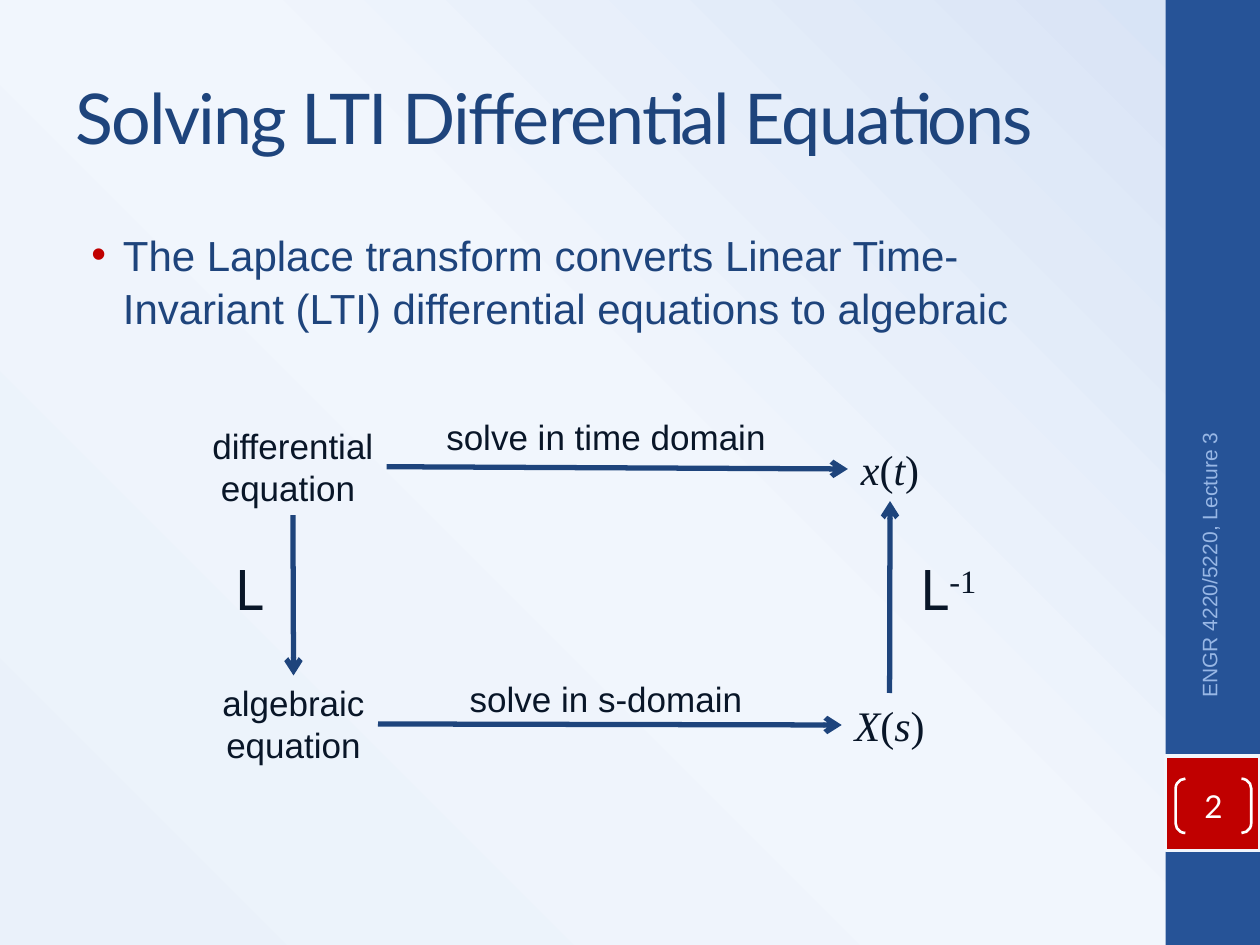
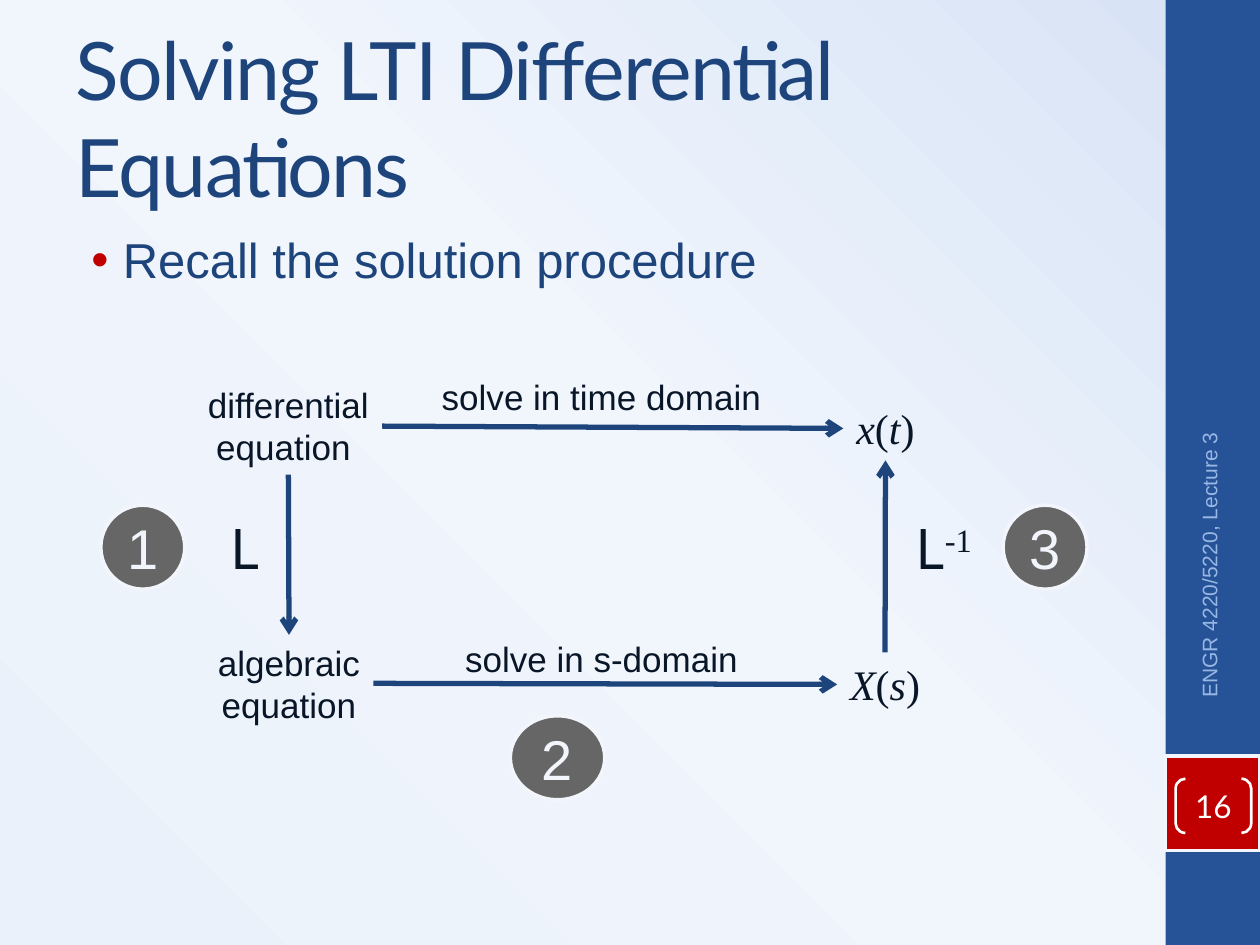
import lxml.etree
import pptx
import pptx.dml.color
import pptx.enum.shapes
import pptx.enum.text
import pptx.oxml.ns
import pptx.util

Pt = pptx.util.Pt
RGB = pptx.dml.color.RGBColor
KIND = pptx.enum.shapes.MSO_SHAPE
ALIGN = pptx.enum.text.PP_ALIGN
ANCHOR = pptx.enum.text.MSO_ANCHOR
FIT = pptx.enum.text.MSO_AUTO_SIZE
qn = pptx.oxml.ns.qn

# Colours
NAVY = RGB(0x1E, 0x44, 0x7C)
INK = RGB(0x09, 0x16, 0x28)
BAND = RGB(0x26, 0x53, 0x97)
RED = RGB(0xC0, 0x00, 0x00)
PALE = RGB(0xF2, 0xF6, 0xFC)
SKY = RGB(0x98, 0xB7, 0xE5)
GREY = RGB(0x66, 0x66, 0x66)
WHITE = RGB(0xFF, 0xFF, 0xFF)
GLOW = ((0, "EAF1FA"), (52, "F1F6FD"), (100, "D6E2F5"))

# Fonts
SANS, HEAD, MATH, SIGN = "Arial", "Lato", "Times New Roman", "Noto Sans"

TOP, LEFT, BOTTOM, RIGHT = range(4)


def node(parent, tag, **attrs):
    return lxml.etree.SubElement(parent, qn(tag), attrs)


def put(para, text, font=SANS, size=20, color=INK, italic=False, base=0, gap=0):
    """Add one formatted run; base is a percent, gap is in points."""
    run = para.add_run()
    run.text = text
    run.font.name = font
    run.font.size = Pt(size)
    run.font.color.rgb = color
    run.font.italic = italic
    props = run.font._element
    if base:
        props.set("baseline", str(base * 1000))
    if gap:
        props.set("spc", str(gap * 100))


class Deck:
    def __init__(self):
        self.prs = pptx.Presentation()
        self.prs.slide_width, self.prs.slide_height = Pt(720), Pt(540)
        self.slide = None
        self.glow()

    def glow(self):
        """Radial background shared by all slides, lit from the lower left."""
        master = self.prs.slide_master
        master.background.fill.gradient()
        grad = master.element.find(".//" + qn("a:gradFill"))
        grad.clear()
        stops = node(grad, "a:gsLst")
        for pos, color in GLOW:
            stop = node(stops, "a:gs", pos=str(pos * 1000))
            node(stop, "a:srgbClr", val=color)
        ring = node(grad, "a:path", path="circle")
        node(ring, "a:fillToRect", t="100000", r="100000")

    def page(self, number):
        """Start a slide with the side band, footer and page number."""
        self.slide = self.prs.slides.add_slide(self.prs.slide_layouts[1])
        self.shape(KIND.RECTANGLE, (666, 0, 54, 540), fill=BAND)
        self.shape(KIND.RECTANGLE, (666, 432, 54, 54), fill=RED, line=PALE)
        foot = self.label((597.6, 319, 186.5, 28.8), [], wrap=True)
        foot.rotation = 270
        foot.text_frame.vertical_anchor = ANCHOR.MIDDLE
        para = foot.text_frame.paragraphs[0]
        para.alignment = ALIGN.RIGHT
        put(para, "ENGR 4220/5220, Lecture 3", size=12, color=SKY)
        mark = self.shape(KIND.DOUBLE_BRACKET, (671.8, 445, 43.2, 31),
                          line=WHITE, width=1.5, text=str(number),
                          font=HEAD, size=18, color=WHITE)
        mark.adjustments[0] = 0.18
        frame = mark.text_frame
        frame.margin_left = frame.margin_right = 0
        frame.margin_top = frame.margin_bottom = 0

    def place(self, item, box):
        item.left, item.top, item.width, item.height = map(Pt, box)

    def title(self, text, size, width):
        item = self.slide.shapes.title
        self.place(item, (36, 21.6, width, 90))
        frame = item.text_frame
        frame.auto_size = FIT.NONE
        frame.vertical_anchor = ANCHOR.MIDDLE
        para = frame.paragraphs[0]
        para.alignment = ALIGN.LEFT
        put(para, text, font=HEAD, size=size, color=NAVY, gap=-1)

    def body(self, text, size, width, height):
        item = self.slide.placeholders[1]
        self.place(item, (36, 126, width, height))
        item.text_frame.auto_size = FIT.NONE
        para = item.text_frame.paragraphs[0]
        para.line_spacing = 1.05
        put(para, text, size=size, color=NAVY)
        props = para._p.get_or_add_pPr()
        props.set("marL", str(Pt(27)))
        props.set("indent", str(Pt(-18)))
        node(node(props, "a:buClr"), "a:srgbClr", val=str(RED))
        node(props, "a:buChar", char="•")

    def shape(self, kind, box, fill=None, line=None, width=2, text="", **style):
        item = self.slide.shapes.add_shape(kind, *map(Pt, box))
        item.shadow.inherit = False
        if fill is None:
            item.fill.background()
        else:
            item.fill.solid()
            item.fill.fore_color.rgb = fill
        if line is None:
            item.line.fill.background()
        else:
            item.line.color.rgb = line
            item.line.width = Pt(width)
        if text:
            item.text_frame.vertical_anchor = ANCHOR.MIDDLE
            para = item.text_frame.paragraphs[0]
            para.alignment = ALIGN.CENTER
            put(para, text, **style)
        return item

    def label(self, box, rows, wrap=False):
        """Text box; each row is a list of (text, format) runs."""
        item = self.slide.shapes.add_textbox(*map(Pt, box))
        frame = item.text_frame
        frame.word_wrap = wrap
        frame.auto_size = FIT.NONE if wrap else FIT.SHAPE_TO_FIT_TEXT
        for i, row in enumerate(rows):
            para = frame.add_paragraph() if i else frame.paragraphs[0]
            para.alignment = ALIGN.CENTER
            for text, style in row:
                put(para, text, **style)
        return item

    def arrow(self, start, side, end, stop):
        kind = pptx.enum.shapes.MSO_CONNECTOR.STRAIGHT
        item = self.slide.shapes.add_connector(kind, 0, 0, 0, 0)
        item.begin_connect(start, side)
        item.end_connect(end, stop)
        item.line.color.rgb = NAVY
        item.line.width = Pt(3)
        props = item.element.spPr
        node(props.find(qn("a:ln")), "a:tailEnd", type="arrow")
        node(props, "a:effectLst")

    def badge(self, text, box):
        self.shape(KIND.OVAL, box, fill=GREY, line=PALE,
                   text=text, size=32, color=PALE)

    def cycle(self, dx=0, dy=0):
        """Solution diagram, shifted by dx and dy."""
        def at(x, y, w, h, *rows):
            return self.label((x + dx, y + dy, w, h), rows)

        def plain(text):
            return [(text, {})]

        def call(name, arg):
            up, tilt = ({"font": MATH, "size": 24, "italic": i} for i in (False, True))
            return [(name, tilt), ("(", up), (arg, tilt), (")", up)]

        # Corners
        diff = at(113.8, 239, 107.2, 55.4, plain("differential"), plain("equation "))
        alg = at(119.5, 386, 96.5, 55.4, plain("algebraic"), plain("equation"))
        freq = at(481, 396, 54.7, 36.6, call("X", "s"))
        time = at(484.5, 249.7, 48.2, 36.6, call("x", "t"))

        # Step names
        at(247, 234, 198.7, 31.6, plain("solve in time domain"))
        at(260.6, 383.8, 171.4, 31.6, plain("solve in s-domain"))
        sign = ("L", {"font": SIGN, "size": 32})
        at(124.5, 313.2, 36, 46, [sign])
        at(514.8, 313.2, 54, 46,
           [sign, ("-1", {"font": MATH, "size": 32, "base": 30})])

        # Arrows
        self.arrow(diff, BOTTOM, alg, TOP)
        self.arrow(diff, RIGHT, time, LEFT)
        self.arrow(alg, RIGHT, freq, LEFT)
        self.arrow(freq, TOP, time, BOTTOM)


def main():
    deck = Deck()
    head = "Solving LTI Differential Equations"

    # Overview
    deck.page(2)
    deck.title(head, 40, 600)
    deck.body("The Laplace transform converts Linear Time-Invariant (LTI) "
              "differential equations to algebraic", 24, 600, 378)
    deck.cycle()

    # Recap with numbered steps
    deck.page(16)
    deck.title(head, 46, 618)
    deck.body("Recall the solution procedure", 28, 624, 356.4)
    deck.cycle(-2.6, -23.2)
    deck.badge("1", (57.6, 288.7, 48, 48))
    deck.badge("2", (291.6, 409, 54, 48))
    deck.badge("3", (573.2, 288.7, 48, 48))

    deck.prs.save("out.pptx")


if __name__ == "__main__":
    main()
